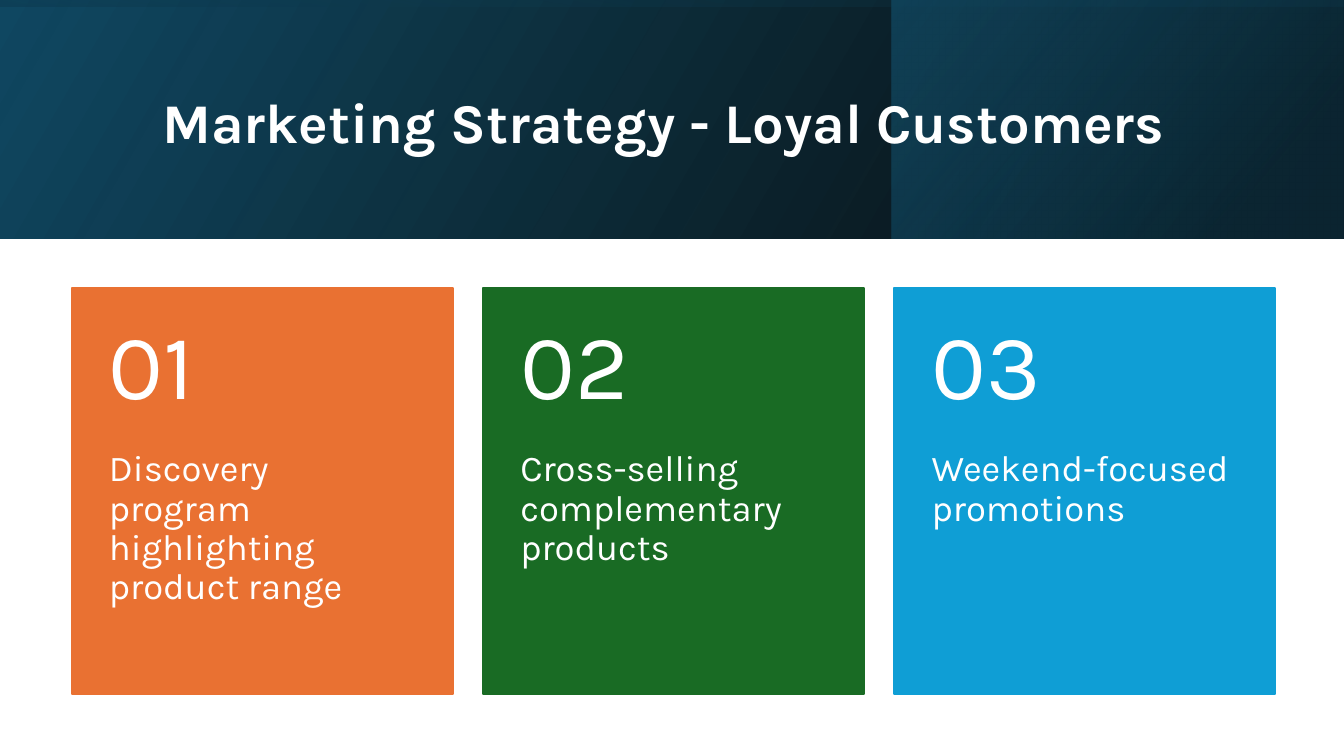
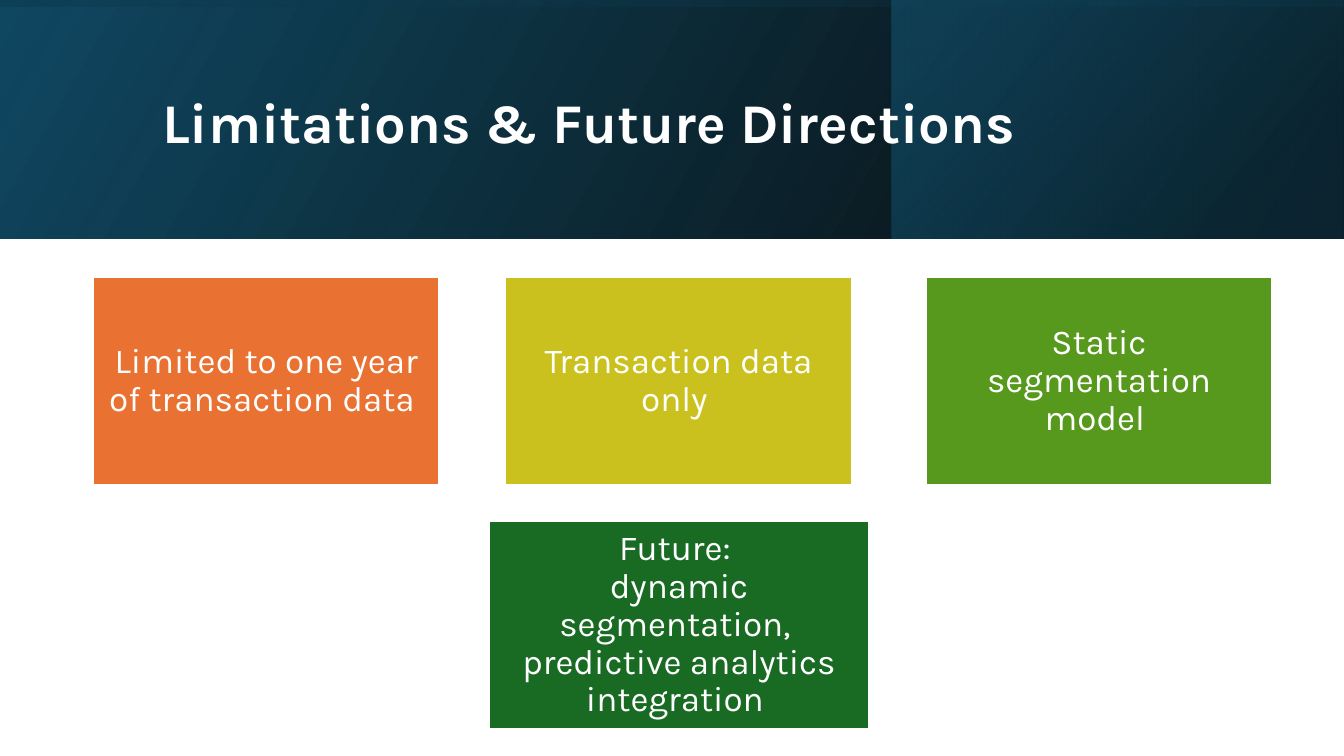
"""Build two slides on marketing strategy and study limitations."""
from lxml.etree import SubElement
from pptx import Presentation
from pptx.dml.color import RGBColor
from pptx.enum.shapes import MSO_SHAPE
from pptx.enum.text import MSO_ANCHOR, PP_ALIGN
from pptx.oxml.ns import qn
from pptx.util import Inches, Pt

RECT = MSO_SHAPE.RECTANGLE
TOP, MIDDLE = MSO_ANCHOR.TOP, MSO_ANCHOR.MIDDLE
LEFT, CENTER = PP_ALIGN.LEFT, PP_ALIGN.CENTER
FONT = "Karla"
WIDTH, HEIGHT = 13.33, 7.5
BAND = 2.37
COLORS = {
    "white": "FFFFFF", "black": "000000", "navy": "104862", "deep": "0B3041",
    "teal": "156082", "orange": "E97132", "green": "196B24", "blue": "0F9ED5",
    "olive": "CBC11E", "leaf": "56991D",
}
FORMATS = {
    "title": {"size": 40, "bold": True, "align": LEFT, "anchor": MIDDLE, "margins": (0.1, 0.05, 0.1, 0.05)},
    "number": {"size": 66, "bold": False, "align": LEFT, "anchor": MIDDLE, "margins": (0.37, 0.18, 0.37, 0.18)},
    "action": {"size": 26, "bold": False, "align": LEFT, "anchor": TOP, "margins": (0.37, 1.61, 0.37, 0.36)},
    "point": {"size": 25, "bold": False, "align": CENTER, "anchor": MIDDLE, "margins": (0.1, 0.1, 0.1, 0.1)},
}
BAND_LAYERS = [
    ((0, 0, WIDTH, BAND), 0, 30, [(0, "black", 96), (1, "navy", 100)]),
    ((8.84, 0, 4.48, BAND), 0, 40, [(0.19, "deep", 68), (1, "teal", 48)]),
    (((WIDTH - BAND) / 2, (BAND - WIDTH) / 2, BAND, WIDTH), 270, 10,
     [(0.23, "navy", 16), (0.99, "black", 45)]),
]


def add_box(slide, at, fill=None, line=None):
    """Add a plain rectangle, or a text box when no fill is given."""
    place = [Inches(length) for length in at]
    if fill is None:
        return slide.shapes.add_textbox(*place)
    box = slide.shapes.add_shape(RECT, *place)
    box.shadow.inherit = False
    box.fill.solid()
    box.fill.fore_color.rgb = RGBColor.from_string(COLORS[fill])
    if line is None:
        box.line.fill.background()
    else:
        box.line.color.rgb = RGBColor.from_string(COLORS[line])
        box.line.width = Pt(1.5)
    return box


def write(box, text, role):
    """Fill a box with text in one of the shared formats."""
    style = FORMATS[role]
    frame = box.text_frame
    frame.word_wrap = True
    frame.vertical_anchor = style["anchor"]
    for side, margin in zip(("left", "top", "right", "bottom"), style["margins"]):
        setattr(frame, f"margin_{side}", Inches(margin))
    paragraph = frame.paragraphs[0]
    paragraph.text = text
    paragraph.alignment = style["align"]
    paragraph.line_spacing = 0.9
    for run in paragraph.runs:
        for name, value in {"name": FONT, "size": Pt(style["size"]), "bold": style["bold"]}.items():
            setattr(run.font, name, value)
        run.font.color.rgb = RGBColor.from_string(COLORS["white"])


deck = Presentation()
deck.slide_width, deck.slide_height = Inches(WIDTH), Inches(HEIGHT)

slides = []
for title in ("Marketing Strategy - Loyal Customers", "Limitations & Future Directions"):
    slide = deck.slides.add_slide(deck.slide_layouts[6])
    for at, rotation, angle, stops in BAND_LAYERS:
        layer = add_box(slide, at, "navy")
        layer.rotation = rotation
        layer.element.spPr.xfrm.set("flipH", "1")
        layer.fill.gradient()
        layer.fill.gradient_angle = angle
        for stop, (position, color, _) in zip(layer.fill.gradient_stops, stops):
            stop.position = position
            stop.color.rgb = RGBColor.from_string(COLORS[color])
        for color_element, (_, _, opacity) in zip(layer.element.spPr.iter(qn("a:srgbClr")), stops):
            SubElement(color_element, qn("a:alpha"), val=str(opacity * 1000))
    write(add_box(slide, (1.51, 0.38, 10.63, 1.72)), title, "title")
    slides.append(slide)
strategy, limitations = slides

actions = [
    ("orange", "Discovery program highlighting product range"),
    ("green", "Cross-selling complementary products"),
    ("blue", "Weekend-focused promotions"),
]
card_left, card_top, card_width, card_height, card_gap = 0.71, 2.86, 3.78, 4.03, 0.3
for column, (color, action) in enumerate(actions):
    left = card_left + column * (card_width + card_gap)
    card = add_box(strategy, (left, card_top, card_width, card_height), color, color)
    write(card, action, "action")
    number = add_box(strategy, (left, card_top, card_width, 0.4 * card_height))
    write(number, f"{column + 1:02d}", "number")

point_height, first_row, second_row = 2.06, 2.75, 5.17
points = [
    (0.92, first_row, 3.44, "orange", "Limited to one year of transaction data "),
    (5.01, first_row, 3.44, "olive", "Transaction data only "),
    (9.18, first_row, 3.44, "leaf", "Static segmentation model "),
    (4.85, second_row, 3.77, "green",
     "Future: \ndynamic segmentation, \npredictive analytics integration "),
]
for left, top, width, color, point in points:
    write(add_box(limitations, (left, top, width, point_height), color, "white"), point, "point")

deck.save("out.pptx")
